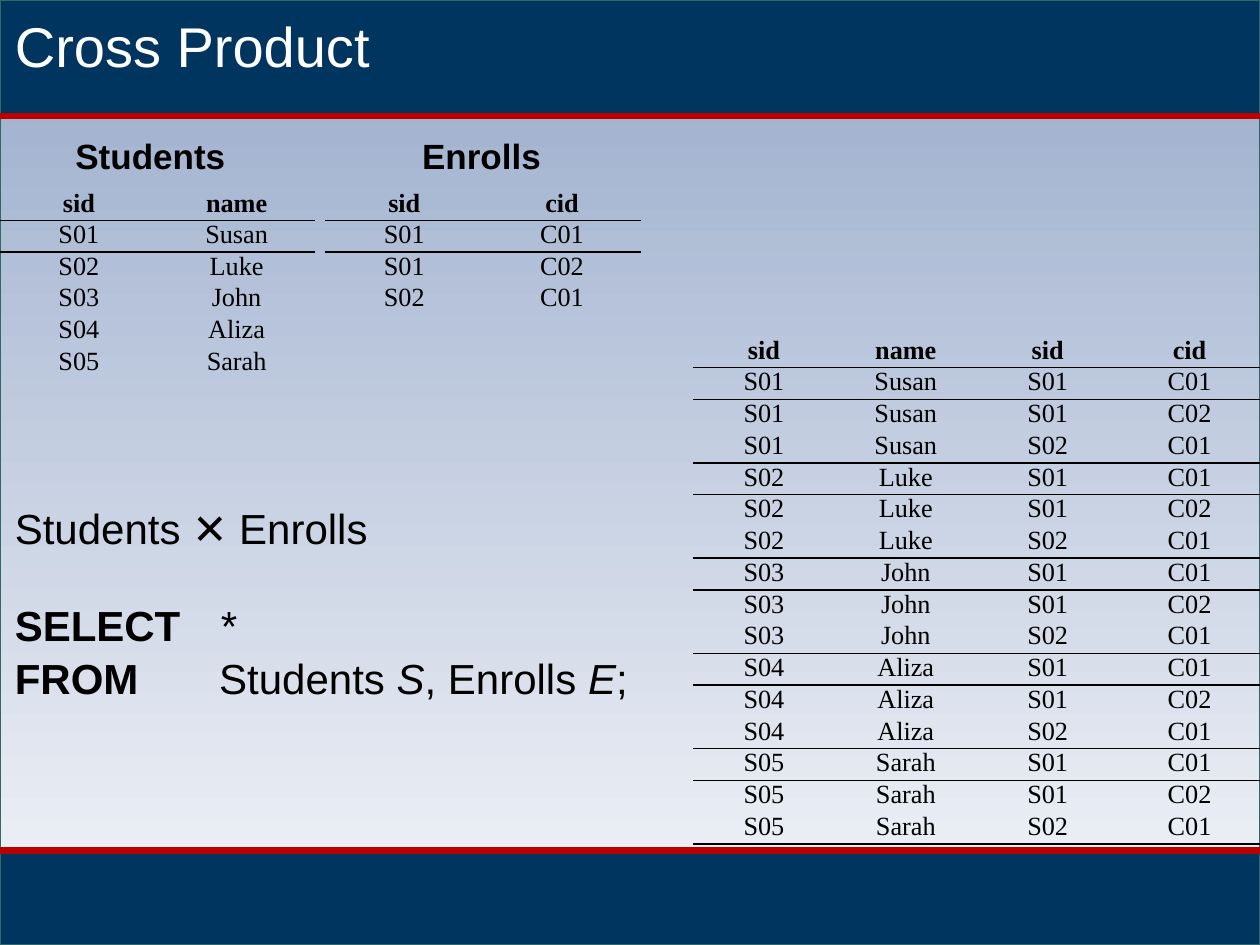
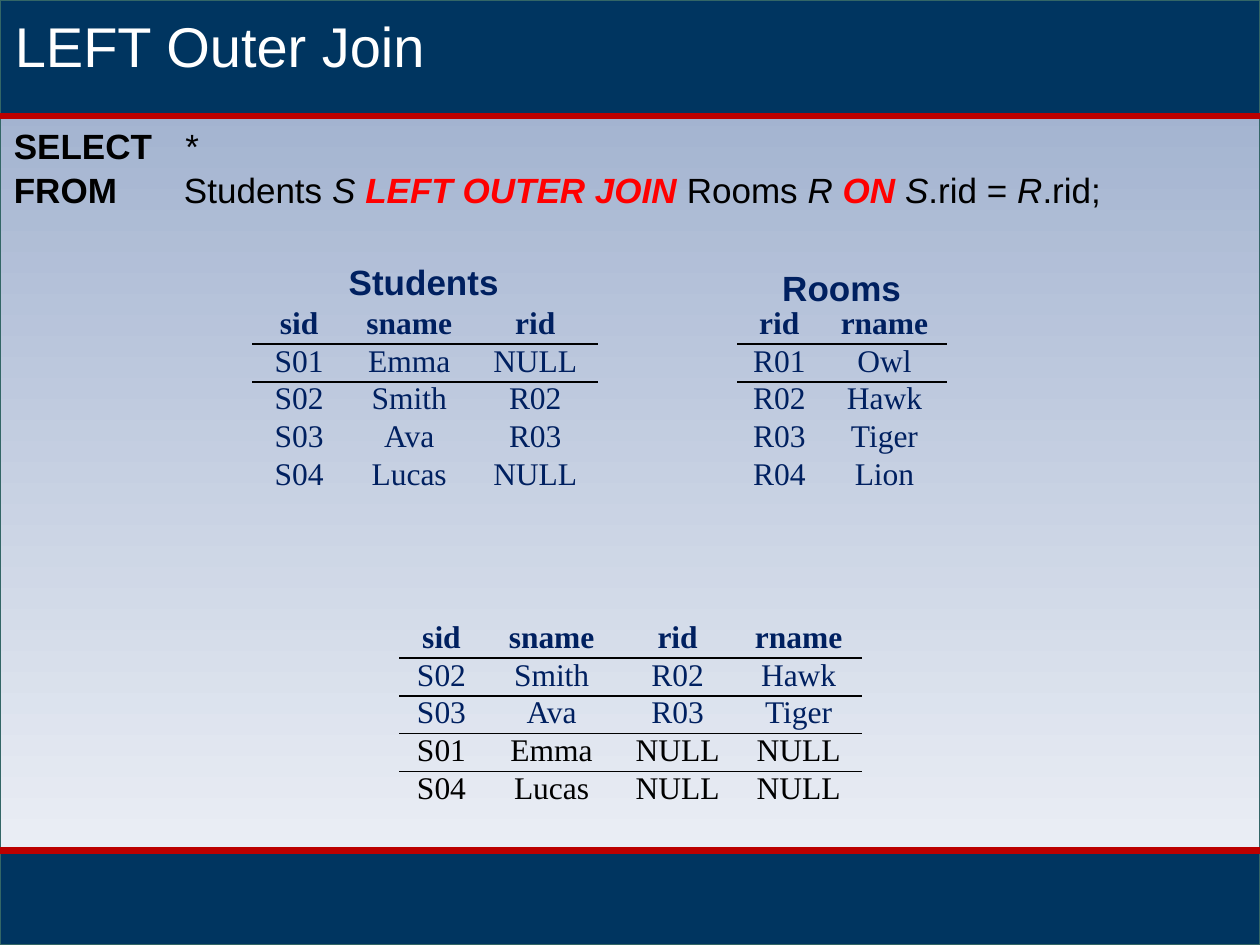
from itertools import product

from lxml import etree
from pptx import Presentation
from pptx.dml.color import RGBColor
from pptx.enum.shapes import MSO_CONNECTOR as Connector, MSO_SHAPE as Shape
from pptx.enum.text import MSO_AUTO_SIZE as AutoSize, PP_ALIGN as Align
from pptx.oxml import parse_xml
from pptx.oxml.ns import nsdecls, qn
from pptx.util import Cm, Pt

COLORS = {
    "band": "003560", "rule": "BC0000", "outline": "336666",
    "sky": "99ABCB", "mist": "F3F5F9",
    "black": "000000", "white": "FFFFFF", "navy": "002060", "red": "FF0000",
}
WIDTH, HEIGHT = 25.4, 19.05
BAND_BOTTOM, FOOTER_TOP = 2.34, 17.15
SANS, SERIF = "Arial", "Times New Roman"
NO_GRID_STYLE = "{2D5ABB26-0587-4C30-8999-92F81FD0307C}"


def rgb(name):
    return RGBColor.from_string(COLORS[name])


# Shared frame
def add_panel(slide, top, height, color, end_color=None):
    panel = slide.shapes.add_shape(
        Shape.RECTANGLE, 0, Cm(top), Cm(WIDTH), Cm(height))
    panel.shadow.inherit = False
    if end_color:
        panel.fill.gradient()
        panel.fill.gradient_angle = 270
        for stop, name in zip(panel.fill.gradient_stops, (color, end_color)):
            stop.color.rgb = rgb(name)
    else:
        panel.fill.solid()
        panel.fill.fore_color.rgb = rgb(color)
    panel.line.color.rgb = rgb("outline")
    panel.line.width = Pt(0.75)


def add_rule(slide, top):
    rule = slide.shapes.add_connector(
        Connector.STRAIGHT, 0, Cm(top), Cm(WIDTH), Cm(top))
    rule.line.color.rgb = rgb("rule")
    rule.line.width = Pt(3.75)
    etree.SubElement(rule._element.spPr, qn("a:effectLst"))


def add_framed_slide(presentation, title):
    slide = presentation.slides.add_slide(presentation.slide_layouts[6])
    add_panel(slide, 0, HEIGHT, "sky", "mist")
    add_panel(slide, FOOTER_TOP, HEIGHT - FOOTER_TOP, "band")
    add_panel(slide, 0, BAND_BOTTOM, "band")
    add_rule(slide, BAND_BOTTOM)
    add_rule(slide, FOOTER_TOP)
    add_text(slide, (0.05, 0.05, 25.35, 1.63), [[(title, "")]], 32, "white")
    return slide


# Text: each run is (text, style), with b for bold, i for italic, r for red
def add_text(slide, box, lines, size, color="black", wrap=True, tab=None):
    textbox = slide.shapes.add_textbox(*map(Cm, box))
    frame = textbox.text_frame
    frame.word_wrap = wrap
    frame.auto_size = AutoSize.SHAPE_TO_FIT_TEXT
    for index, runs in enumerate(lines):
        paragraph = frame.paragraphs[0] if index == 0 else frame.add_paragraph()
        paragraph.line_spacing = 1.05
        paragraph.font.name = SANS
        paragraph.font.size = Pt(size)
        paragraph.font.color.rgb = rgb(color)
        if tab:
            add_tab_stop(paragraph, tab)
        for text, style in runs:
            run = paragraph.add_run()
            run.text = text
            run.font.name = SANS
            run.font.size = Pt(size)
            run.font.bold = "b" in style
            run.font.italic = "i" in style
            run.font.color.rgb = rgb("red" if "r" in style else color)


def add_tab_stop(paragraph, position):
    tabs = parse_xml(
        f'<a:tabLst {nsdecls("a")}><a:tab pos="{Cm(position)}" algn="l"/></a:tabLst>')
    properties = paragraph._p.get_or_add_pPr()
    default_run = properties.find(qn("a:defRPr"))
    default_run.addprevious(tabs)


def add_label(slide, box, name, color="black"):
    add_text(slide, box, [[(name, "b")]], 20, color, wrap=False)


def add_query(slide, box, from_runs, size, tab):
    select_line = [("SELECT", "b"), ("\t*", "i")]
    from_line = [("FROM", "b"), ("\tStudents ", "")] + from_runs
    add_text(slide, box, [select_line, from_line], size, tab=tab)


# Relations
def underline_cell(cell):
    border = parse_xml(
        f'<a:lnB {nsdecls("a")} w="{Pt(1)}"><a:solidFill>'
        f'<a:srgbClr val="{COLORS["black"]}"/></a:solidFill></a:lnB>')
    cell._tc.get_or_add_tcPr().insert(0, border)


def add_relation(slide, left, top, widths, row_height, rows, size,
                 ruled_rows=(0, 1), color="black", black_from=None):
    frame = slide.shapes.add_table(
        len(rows), len(widths), Cm(left), Cm(top),
        Cm(sum(widths)), Cm(row_height * len(rows)))
    table = frame.table
    table._tbl.tblPr.find(qn("a:tableStyleId")).text = NO_GRID_STYLE
    table.horz_banding = False
    for column, width in zip(table.columns, widths):
        column.width = Cm(width)
    for row_index, values in enumerate(rows):
        table.rows[row_index].height = Cm(row_height)
        is_black = black_from is not None and row_index >= black_from
        for column_index, value in enumerate(values):
            cell = table.cell(row_index, column_index)
            cell.margin_left = cell.margin_right = Cm(0.25)
            cell.margin_top = cell.margin_bottom = 0
            cell.fill.background()
            if row_index in ruled_rows:
                underline_cell(cell)
            cell.text = value
            paragraph = cell.text_frame.paragraphs[0]
            paragraph.alignment = Align.CENTER
            font = paragraph.runs[0].font
            font.name = SERIF
            font.size = Pt(size)
            font.bold = row_index == 0
            font.color.rgb = rgb("black" if is_black else color)


# Slides
def build_cross_product(presentation):
    slide = add_framed_slide(presentation, "Cross Product")
    students = [("sid", "name"), ("S01", "Susan"), ("S02", "Luke"),
                ("S03", "John"), ("S04", "Aliza"), ("S05", "Sarah")]
    enrolls = [("sid", "cid"), ("S01", "C01"), ("S01", "C02"), ("S02", "C01")]
    pairs = [student + enroll
             for student, enroll in product(students[1:], enrolls[1:])]
    crossed = [students[0] + enrolls[0]] + pairs

    add_relation(slide, 0, 3.81, [3.18] * 2, 0.58, students, 15)
    add_relation(slide, 6.56, 3.81, [3.18] * 2, 0.58, enrolls, 15, (0,1))
    add_label(slide, (1.27, 2.54, 3.56, 1.11), "Students")
    add_label(slide, (8.26, 2.54, 2.92, 1.11), "Enrolls")
    add_query(slide, (0.05, 11.91, 13.06, 2.31),
              [("S", "i"), (", Enrolls ", ""), ("E", "i"), (";", "")], 24, 4.12)
    ruled_rows = [row for row in range(len(crossed)) if row % 3 != 2]
    add_relation(slide, 13.97, 6.77, [2.86] * 4, 0.64, crossed, 15, ruled_rows)
    add_text(slide, (0.05, 9.96, 7.67, 1.27),
             [[("Students ", ""), ("✕", "b"), (" Enrolls", "")]], 24, wrap=False)


def build_left_outer_join(presentation):
    slide = add_framed_slide(presentation, "LEFT Outer Join")
    students = [("sid", "sname", "rid"), ("S01", "Emma", "NULL"),
                ("S02", "Smith", "R02"), ("S03", "Ava", "R03"),
                ("S04", "Lucas", "NULL")]
    rooms = [("rid", "rname"), ("R01", "Owl"), ("R02", "Hawk"),
             ("R03", "Tiger"), ("R04", "Lion")]
    room_names = dict(rooms[1:])
    matched = [row + (room_names[row[2]],)
               for row in students[1:] if row[2] in room_names]
    unmatched = [row + ("NULL",)
                 for row in students[1:] if row[2] not in room_names]
    joined = [students[0] + ("rname",)] + matched + unmatched

    add_query(slide, (0.03, BAND_BOTTOM, 25.37, 1.96),
              [("S ", "i"), ("LEFT OUTER JOIN ", "bir"), ("Rooms ", ""),
               ("R ", "i"), ("ON ", "bir"), ("S", "i"), (".rid = ", ""),
               ("R", "i"), (".rid;", "")], 20, 3.43)
    add_relation(slide, 5.08, 6.17, [1.9, 2.54, 2.54], 0.76, students, 18,
                 color="navy")
    add_relation(slide, 14.86, 6.17, [1.7, 2.54], 0.76, rooms, 18, color="navy")
    add_label(slide, (6.78, 5.08, 3.56, 1.11), "Students", "navy")
    add_label(slide, (15.52, 5.21, 2.92, 1.11), "Rooms", "navy")
    add_relation(slide, 8.05, 12.5, [1.7, 2.74, 2.34, 2.54], 0.76, joined, 18,
                 range(4), "navy", black_from=1 + len(matched))


def main():
    presentation = Presentation()
    presentation.slide_width = Cm(WIDTH)
    presentation.slide_height = Cm(HEIGHT)
    build_cross_product(presentation)
    build_left_outer_join(presentation)
    presentation.save("out.pptx")


if __name__ == "__main__":
    main()
